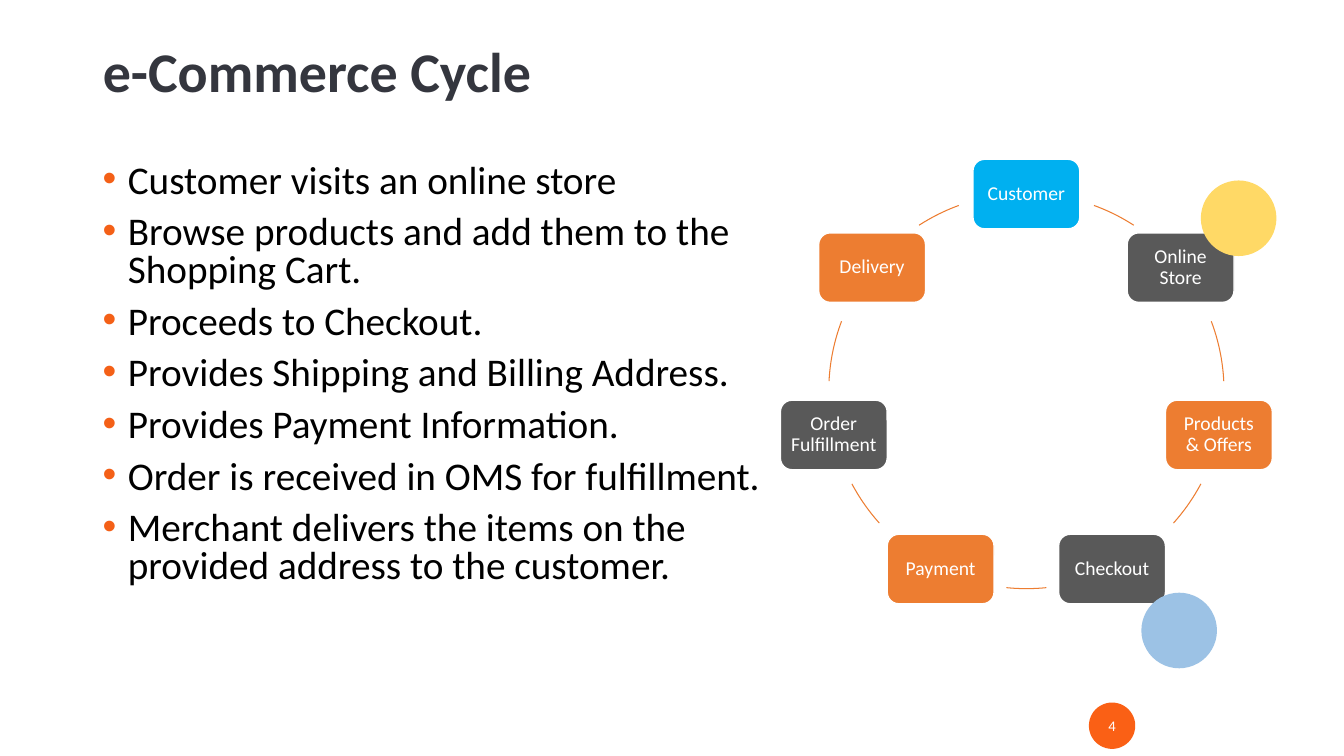
"""Build the e-Commerce Cycle slide with its bullet list and cycle diagram."""
import math
from dataclasses import dataclass
from typing import Any

import lxml.etree
import pptx
import pptx.dml.color
import pptx.enum.shapes
import pptx.enum.text
import pptx.oxml.ns
import pptx.shapes.autoshape
import pptx.slide
import pptx.text.text
import pptx.util

RGBColor = pptx.dml.color.RGBColor
Shape = pptx.shapes.autoshape.Shape
ShapeType = pptx.enum.shapes.MSO_SHAPE
Align = pptx.enum.text.PP_ALIGN
Anchor = pptx.enum.text.MSO_ANCHOR

EMU_PER_PX = 9144
FONT = "Calibri"
WHITE = RGBColor(0xFF, 0xFF, 0xFF)
BLACK = RGBColor(0x00, 0x00, 0x00)
INK = RGBColor(0x34, 0x36, 0x3E)
BULLET = RGBColor(0xF4, 0x60, 0x17)
BADGE = RGBColor(0xFA, 0x60, 0x15)
CYAN = RGBColor(0x00, 0xB0, 0xF0)
GRAY = RGBColor(0x59, 0x59, 0x59)
ORANGE = RGBColor(0xED, 0x7D, 0x31)
BLUE = RGBColor(0x9C, 0xC2, 0xE5)
YELLOW = RGBColor(0xFF, 0xD9, 0x66)

CENTER_X, CENTER_Y, RADIUS = 1018, 388, 196
NODE_WIDTH, NODE_HEIGHT = 106, 69


@dataclass(frozen=True)
class Box:
    left: int
    top: int
    width: int
    height: int

    def emu(self) -> tuple[int, ...]:
        return tuple(px(value) for value in (self.left, self.top, self.width, self.height))


@dataclass(frozen=True)
class Node:
    label: str
    fill: RGBColor


@dataclass(frozen=True)
class Arc:
    start: float
    end: float


@dataclass(frozen=True)
class Circle:
    box: Box
    fill: RGBColor


STEPS = (
    "Customer visits an online store",
    "Browse products and add them to the Shopping Cart.",
    "Proceeds to Checkout.",
    "Provides Shipping and Billing Address.",
    "Provides Payment Information.",
    "Order is received in OMS for fulfillment.",
    "Merchant delivers the items on the provided address to the customer.",
)
NODES = (
    Node("Customer", CYAN),
    Node("Online Store", GRAY),
    Node("Products & Offers", ORANGE),
    Node("Checkout", GRAY),
    Node("Payment", ORANGE),
    Node("Order Fulfillment", GRAY),
    Node("Delivery", ORANGE),
)
RIGHT_ARCS = (Arc(20, 32.9), Arc(69.3, 87.1), Arc(118, 131.9))
LEFT_ARCS = tuple(Arc(360 - arc.end, 360 - arc.start) for arc in RIGHT_ARCS)
ARCS = (*RIGHT_ARCS, Arc(174.2, 185.8), *LEFT_ARCS)
PAGE_BADGE = Circle(Box(1080, 697, 46, 46), BADGE)
BUBBLES = (
    Circle(Box(1132, 588, 75, 75), BLUE),
    Circle(Box(1191, 179, 75, 75), YELLOW),
)


def px(value: int) -> int:
    return value * EMU_PER_PX


def apply(target: Any, **values: Any) -> None:
    for name, value in values.items():
        setattr(target, name, value)


def set_frame(frame: pptx.text.text.TextFrame, anchor: Any, side: int, edge: int) -> None:
    apply(frame, word_wrap=True, auto_size=pptx.enum.text.MSO_AUTO_SIZE.NONE,
          vertical_anchor=anchor, margin_left=px(side), margin_right=px(side),
          margin_top=px(edge), margin_bottom=px(edge))


def write(paragraph: Any, text: str, size: float, color: RGBColor,
          bold: bool = False, **layout: Any) -> None:
    apply(paragraph, **layout)
    run = paragraph.add_run()
    run.text = text
    apply(run.font, name=FONT, size=pptx.util.Pt(size), bold=bold)
    run.font.color.rgb = color


def add_bullet(paragraph: Any) -> None:
    properties = paragraph._p.get_or_add_pPr()
    apply_indent = {"marL": str(px(25)), "indent": str(px(-25))}
    for name, value in apply_indent.items():
        properties.set(name, value)
    qn = pptx.oxml.ns.qn
    color = lxml.etree.SubElement(properties, qn("a:buClr"))
    lxml.etree.SubElement(color, qn("a:srgbClr"), val=str(BULLET))
    lxml.etree.SubElement(properties, qn("a:buFont"), typeface="Arial")
    lxml.etree.SubElement(properties, qn("a:buChar"), char="•")


def add_filled(slide: pptx.slide.Slide, kind: Any, box: Box, fill: RGBColor) -> Shape:
    shape = slide.shapes.add_shape(kind, *box.emu())
    shape.shadow.inherit = False
    shape.fill.solid()
    shape.fill.fore_color.rgb = fill
    shape.line.fill.background()
    return shape


def add_title(slide: pptx.slide.Slide) -> None:
    title = slide.shapes.title
    left, top, width, height = Box(92, 17, 1150, 114).emu()
    apply(title, left=left, top=top, width=width, height=height)
    set_frame(title.text_frame, Anchor.MIDDLE, 10, 5)
    write(title.text_frame.paragraphs[0], "e-Commerce Cycle", 40, INK, bold=True,
          alignment=Align.LEFT, line_spacing=0.9)


def add_steps(slide: pptx.slide.Slide) -> None:
    frame = slide.shapes.add_textbox(*Box(92, 158, 699, 446).emu()).text_frame
    set_frame(frame, Anchor.TOP, 10, 5)
    for index, step in enumerate(STEPS):
        paragraph = frame.add_paragraph() if index else frame.paragraphs[0]
        add_bullet(paragraph)
        write(paragraph, step, 28, BLACK, line_spacing=0.8,
              space_before=pptx.util.Pt(10 if index else 0))


def add_node(slide: pptx.slide.Slide, node: Node, angle: float) -> None:
    left = round(CENTER_X + RADIUS * math.sin(angle) - NODE_WIDTH / 2)
    top = round(CENTER_Y - RADIUS * math.cos(angle) - NODE_HEIGHT / 2)
    box = Box(left, top, NODE_WIDTH, NODE_HEIGHT)
    shape = add_filled(slide, ShapeType.ROUNDED_RECTANGLE, box, node.fill)
    shape.line.color.rgb = WHITE
    shape.line.width = pptx.util.Pt(1)
    set_frame(shape.text_frame, Anchor.MIDDLE, 6, 6)
    write(shape.text_frame.paragraphs[0], node.label, 14, WHITE,
          alignment=Align.CENTER, line_spacing=0.9)


def add_arc(slide: pptx.slide.Slide, arc: Arc) -> None:
    """Draw an arc whose angles run clockwise in degrees from the top."""
    box = Box(CENTER_X - RADIUS, CENTER_Y - RADIUS, 2 * RADIUS, 2 * RADIUS)
    shape = slide.shapes.add_shape(ShapeType.ARC, *box.emu())
    shape.shadow.inherit = False
    shape.fill.background()
    shape.line.color.rgb = ORANGE
    shape.line.width = pptx.util.Pt(0.75)
    for index, angle in enumerate((arc.start, arc.end)):
        shape.adjustments[index] = (angle - 90) % 360 * 0.6


def main() -> None:
    presentation = pptx.Presentation()
    apply(presentation, slide_width=px(1333), slide_height=px(750))
    slide = presentation.slides.add_slide(presentation.slide_layouts.get_by_name("Title Only"))
    badge = add_filled(slide, ShapeType.OVAL, PAGE_BADGE.box, PAGE_BADGE.fill)
    set_frame(badge.text_frame, Anchor.MIDDLE, 0, 0)
    write(badge.text_frame.paragraphs[0], "4", 10.5, WHITE, alignment=Align.CENTER)
    add_steps(slide)
    add_title(slide)
    for index, (node, arc) in enumerate(zip(NODES, ARCS)):
        add_node(slide, node, math.tau * index / len(NODES))
        add_arc(slide, arc)
    for bubble in BUBBLES:
        add_filled(slide, ShapeType.OVAL, bubble.box, bubble.fill)
    presentation.save("out.pptx")


if __name__ == "__main__":
    main()
